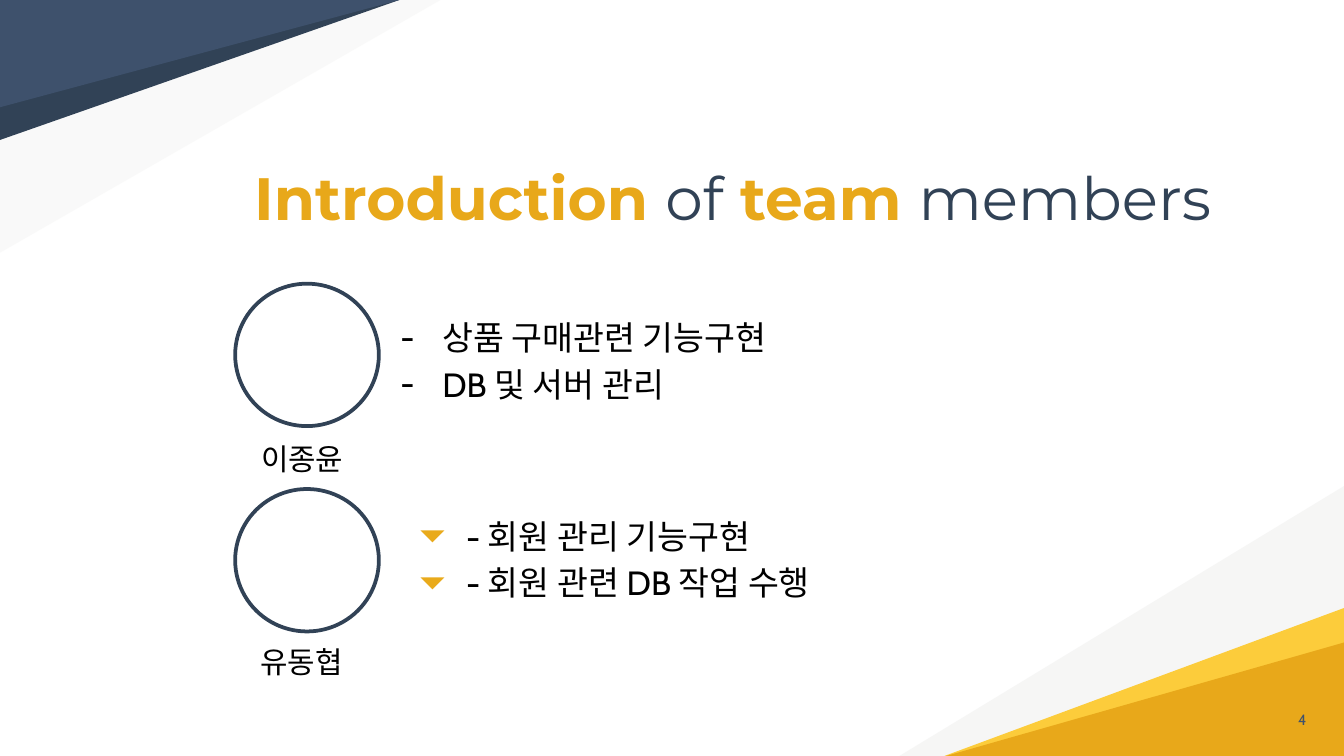
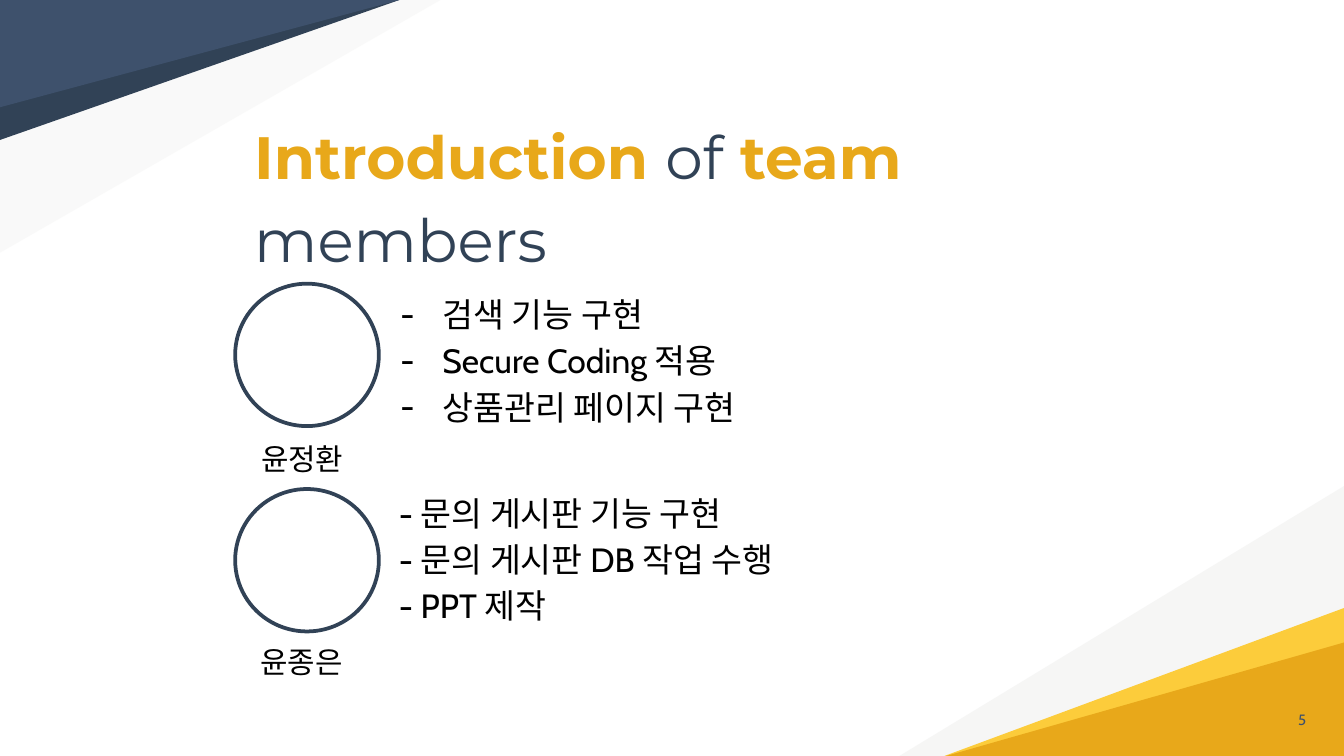
import pptx
import pptx.util
import pptx.dml.color
import pptx.enum.shapes
import pptx.enum.text
import pptx.oxml.ns
import lxml.etree

Pt = pptx.util.Pt
NAVY, SLATE, GOLD, AMBER = "314256", "3E516C", "E8A81A", "FCCC3B"
GREY, BLACK, MARK = "EDEDEB", "000000", "E9AA1B"
BODY, HEAD = "Cabin", "Montserrat"

BANDS = [
    ([(720.7, 406), (480.2, 406), (720.7, 260)], GREY, 48),
    ([(720.7, 406), (720.7, 325.5), (503.3, 406)], AMBER, 100),
    ([(720.7, 406), (720.7, 344), (503.3, 406)], GOLD, 100),
    ([(0, 0), (236, 0), (0, 135.4)], GREY, 28),
    ([(0, 0), (0, 75), (214, 0)], NAVY, 100),
    ([(0, 0), (0, 57.5), (214, 0)], SLATE, 100),
]
TITLE = [("Introduction ", GOLD), ("of", NAVY), (" team ", GOLD), ("members", NAVY)]
RINGS = [(126, 152, 77, 76.3), (126, 262, 77, 76.3)]
NAMES = [(133, 228.2, 63.5, 34.6), (132.5, 338.4, 69, 32.4)]
LISTS = [(207.4, 151.2, 266, 80.6), (206.6, 255, 267, 85.7)]
DASH = ("-", BLACK, 22.5, -22.5)
ARROW = ("⏷", MARK, 36, -25.2)


def rgb(code):
    return pptx.dml.color.RGBColor.from_string(code)


def sub(node, tag, **attrs):
    return lxml.etree.SubElement(node, pptx.oxml.ns.qn(tag), **attrs)


def band(slide, dots, color, alpha):
    dots = [(Pt(x), Pt(y)) for x, y in dots]
    pen = slide.shapes.build_freeform(*dots[0])
    pen.add_line_segments(dots[1:], close=True)
    shape = pen.convert_to_shape()
    shape.shadow.inherit = False
    shape.line.fill.background()
    shape.fill.solid()
    shape.fill.fore_color.rgb = rgb(color)
    if alpha < 100:
        tint = shape.fill._xPr.find(".//" + pptx.oxml.ns.qn("a:srgbClr"))
        sub(tint, "a:alpha", val=str(alpha * 1000))


def ring(slide, box):
    oval = pptx.enum.shapes.MSO_SHAPE.OVAL
    shape = slide.shapes.add_shape(oval, *map(Pt, box))
    shape.shadow.inherit = False
    shape.fill.background()
    shape.line.color.rgb = rgb(NAVY)
    shape.line.width = Pt(2)


def frame(shape, anchor="MIDDLE"):
    area = shape.text_frame
    area.word_wrap = True
    area.auto_size = pptx.enum.text.MSO_AUTO_SIZE.NONE
    area.vertical_anchor = pptx.enum.text.MSO_ANCHOR[anchor]
    area.margin_left = area.margin_right = Pt(7.2)
    area.margin_top = area.margin_bottom = Pt(7.2)
    return area


def style(para, size, color=BLACK, name=BODY):
    para.font.size = Pt(size)
    para.font.name = name
    para.font.color.rgb = rgb(color)
    para.alignment = pptx.enum.text.PP_ALIGN.LEFT
    sub(para._p.pPr.find(pptx.oxml.ns.qn("a:defRPr")), "a:ea", typeface=name)


def bullet(para, char, color, left, hang):
    props = para._p.get_or_add_pPr()
    props.set("marL", str(Pt(left)))
    props.set("indent", str(Pt(hang)))
    base = props.find(pptx.oxml.ns.qn("a:defRPr"))
    tint = sub(props, "a:buClr")
    sub(tint, "a:srgbClr", val=color)
    face = sub(props, "a:buFont", typeface=BODY)
    sign = sub(props, "a:buChar", char=char)
    for node in (tint, face, sign):
        base.addprevious(node)


def label(slide, box, text):
    para = frame(slide.shapes.add_textbox(*map(Pt, box))).paragraphs[0]
    para.text = text
    style(para, 16)


def tasks(slide, box, lines, mark):
    area = frame(slide.shapes.add_textbox(*map(Pt, box)))
    area.text = "\n".join(lines)
    for para in area.paragraphs:
        style(para, 18)
        para.line_spacing = 1.15
        if mark:
            bullet(para, *mark)


def title(slide, width):
    shape = slide.shapes.title
    shape.left, shape.top = Pt(129), Pt(83.5)
    shape.width, shape.height = Pt(width), Pt(38.2)
    para = frame(shape).paragraphs[0]
    style(para, 32, NAVY, HEAD)
    para.line_spacing = 1.15
    for text, color in TITLE:
        run = para.add_run()
        run.text = text
        run.font.bold = color == GOLD
        run.font.color.rgb = rgb(color)


def number(slide, value):
    box = slide.shapes.add_textbox(Pt(688.3), Pt(373.7), Pt(31.7), Pt(31))
    para = frame(box, "TOP").paragraphs[0]
    style(para, 8, SLATE)
    field = sub(para._p, "a:fld", type="slidenum",
                id="{B6F15528-21DE-4FAA-801E-634DDDAF4B2B}")
    sub(field, "a:rPr", lang="en-US")
    sub(field, "a:t").text = str(value)


def team(deck, page, width, people):
    slide = deck.slides.add_slide(deck.slide_layouts[5])
    for item in BANDS:
        band(slide, *item)
    title(slide, width)
    number(slide, page)
    for row, (name, lines, mark, wide) in enumerate(people):
        ring(slide, RINGS[row])
        label(slide, NAMES[row], name)
        left, top, _, high = LISTS[row]
        tasks(slide, (left, top, wide, high), lines, mark)


def main():
    deck = pptx.Presentation()
    deck.slide_width, deck.slide_height = Pt(720), Pt(405)
    first = deck.slides._sldIdLst.getparent()
    first.set("firstSlideNum", "4")
    team(deck, 4, 539.3, [
        ("이종윤", ["상품 구매관련 기능구현", "DB 및 서버 관리"], DASH, 266),
        ("유동협", ["- 회원 관리 기능구현", "- 회원 관련 DB 작업 수행"], ARROW, 267),
    ])
    team(deck, 5, 516.2, [
        ("윤정환", ["검색 기능 구현", "Secure Coding 적용", "상품관리 페이지 구현"],
         DASH, 461.5),
        ("윤종은", ["- 문의 게시판 기능 구현", "- 문의 게시판 DB 작업 수행",
                 "- PPT 제작"], None, 267),
    ])
    deck.save("out.pptx")


if __name__ == "__main__":
    main()
